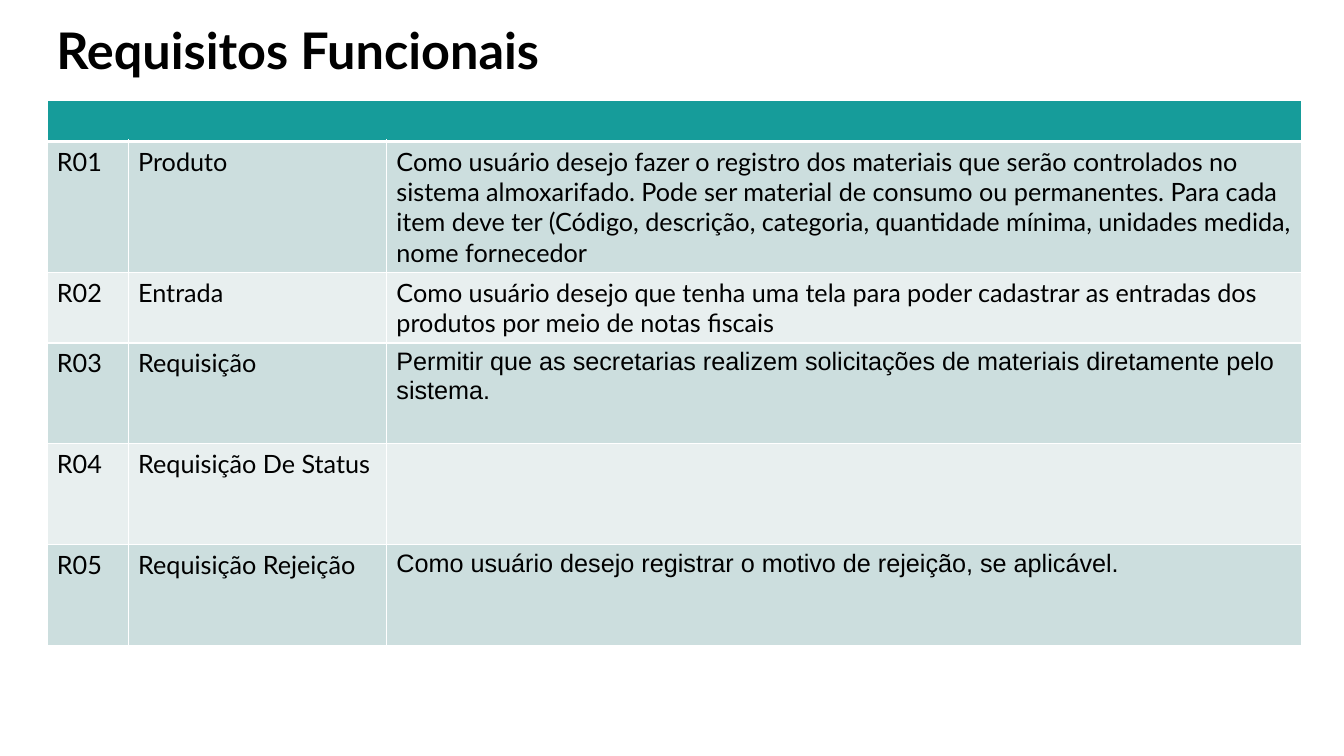
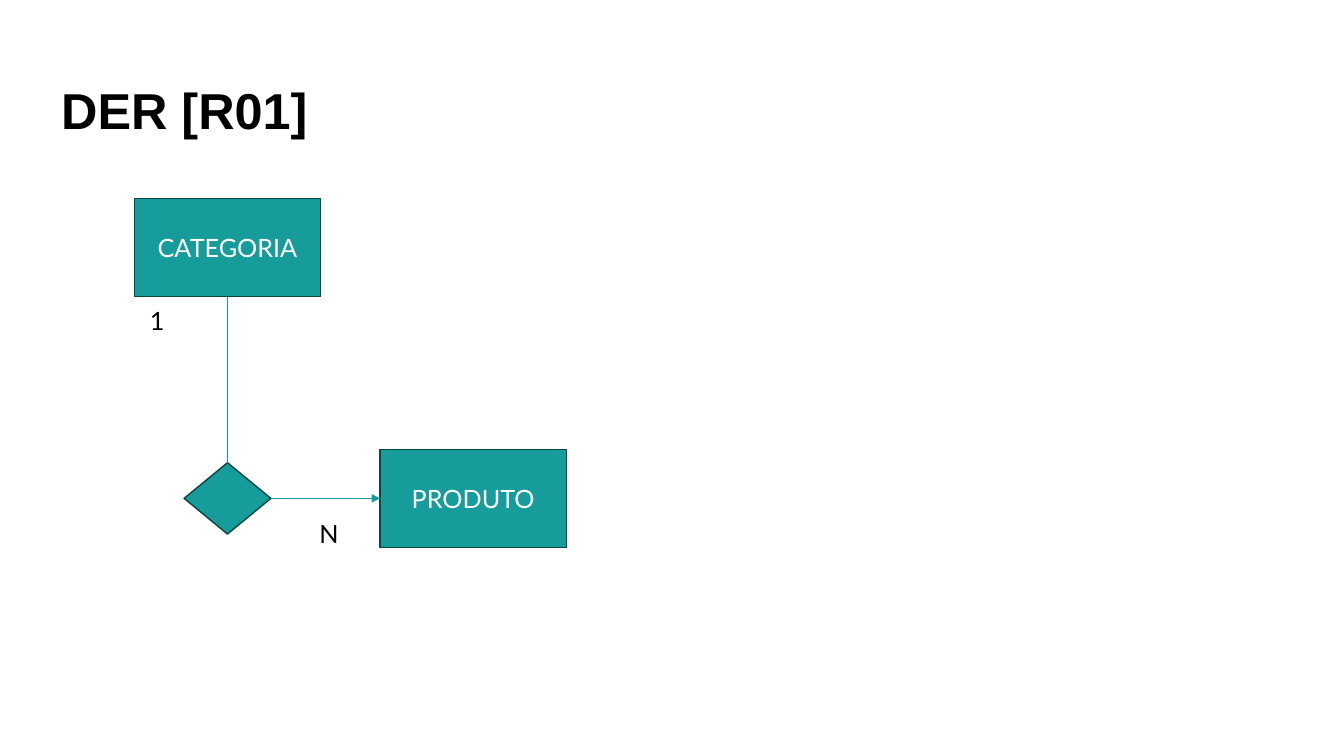
"""Build the requirements table and the entity-relationship slide."""
from dataclasses import dataclass, field
from typing import Any

from lxml import etree
from pptx import Presentation
from pptx import util as u
from pptx.dml.color import RGBColor
from pptx.enum import shapes, text
from pptx.oxml import ns

Pt = u.Pt


@dataclass(frozen=True)
class Theme:
    teal: str = "169C9A"
    outline: str = "0A4443"
    dark_band: str = "CCDEDE"
    light_band: str = "E8EFEF"
    black: str = "000000"
    white: str = "FFFFFF"
    body_font: str = "Lato"
    plain_font: str = "Arial"
    title_size: int = 36
    body_size: int = 18
    line_width: float = 1
    link_width: float = 0.5
    header_rule: float = 3


def apply(target, values):
    for name, value in values.items():
        setattr(target, name, value)


def frame_at(shape, left, top, width, height):
    apply(shape, {"left": Pt(left), "top": Pt(top),
                  "width": Pt(width), "height": Pt(height)})


@dataclass
class Builder:
    deck: Any
    theme: Theme = field(default_factory=Theme)
    page: Any = None

    def start(self, title, frame, font):
        self.page = self.deck.slides.add_slide(self.deck.slide_layouts[5])
        box = self.page.shapes.title
        frame_at(box, *frame)
        apply(box.text_frame, {"vertical_anchor": text.MSO_ANCHOR.BOTTOM,
                               "word_wrap": True,
                               "auto_size": text.MSO_AUTO_SIZE.NONE})
        self.put_text(box.text_frame, title, font=font,
                      size=self.theme.title_size, bold=True, line_spacing=0.9)

    def put_text(self, frame, words, font=None, size=None, color=None, bold=False,
                 align=text.PP_ALIGN.LEFT, line_spacing=1.0):
        para = frame.paragraphs[0]
        apply(para, {"alignment": align, "line_spacing": line_spacing})
        span = para.add_run()
        span.text = words
        apply(span.font, {"name": font or self.theme.body_font,
                          "size": Pt(size or self.theme.body_size), "bold": bold})
        span.font.color.rgb = RGBColor.from_string(color or self.theme.black)

    def paint(self, fill, color):
        fill.solid()
        fill.fore_color.rgb = RGBColor.from_string(color)

    def borders(self, cell, widths):
        properties = cell._tc.get_or_add_tcPr()
        for index, (side, width) in enumerate(widths.items()):
            line = etree.Element(ns.qn(f"a:ln{side}"), w=str(Pt(width)))
            solid = etree.SubElement(line, ns.qn("a:solidFill"))
            etree.SubElement(solid, ns.qn("a:srgbClr"), val=self.theme.white)
            properties.insert(index, line)

    def table(self, left, top, widths, heights, rows):
        """Draw a banded table under an empty merged header row."""
        theme = self.theme
        grid = self.page.shapes.add_table(
            len(heights), len(widths), Pt(left), Pt(top),
            Pt(sum(widths)), Pt(sum(heights))).table
        grid.horz_banding = False
        for column, width in zip(grid.columns, widths):
            column.width = Pt(width)
        for row, height in zip(grid.rows, heights):
            row.height = Pt(height)
        for r, row in enumerate(grid.rows):
            band = theme.dark_band if r % 2 else theme.light_band
            rules = dict.fromkeys("LRTB", theme.line_width)
            if r < 2:
                rules["T" if r else "B"] = theme.header_rule
            for cell in row.cells:
                self.paint(cell.fill, band if r else theme.teal)
                self.borders(cell, rules)
        grid.cell(0, 0).merge(grid.cell(0, len(widths) - 1))
        for r, (*words, font) in enumerate(rows, 1):
            fonts = (theme.body_font, theme.body_font, font)
            for c, (entry, name) in enumerate(zip(words, fonts)):
                if entry:
                    self.put_text(grid.cell(r, c).text_frame, entry, font=name)

    def node(self, kind, left, top, width, height, words=""):
        box = self.page.shapes.add_shape(
            kind, Pt(left), Pt(top), Pt(width), Pt(height))
        box.shadow.inherit = False
        self.paint(box.fill, self.theme.teal)
        self.paint(box.line.fill, self.theme.outline)
        box.line.width = Pt(self.theme.line_width)
        if words:
            box.text_frame.vertical_anchor = text.MSO_ANCHOR.MIDDLE
            self.put_text(box.text_frame, words, color=self.theme.white,
                          align=text.PP_ALIGN.CENTER)
        return box

    def link(self, start, start_site, end, end_site, arrow=False):
        link = self.page.shapes.add_connector(
            shapes.MSO_CONNECTOR.STRAIGHT, 0, 0, 0, 0)
        link.begin_connect(start, start_site)
        link.end_connect(end, end_site)
        self.paint(link.line.fill, self.theme.teal)
        link.line.width = Pt(self.theme.link_width)
        if arrow:
            etree.SubElement(link.line._get_or_add_ln(), ns.qn("a:tailEnd"),
                             type="triangle")
        etree.SubElement(link._element.spPr, ns.qn("a:effectLst"))

    def label(self, words, left, top, width, height):
        box = self.page.shapes.add_textbox(
            Pt(left), Pt(top), Pt(width), Pt(height))
        apply(box.text_frame, {"word_wrap": True,
                               "auto_size": text.MSO_AUTO_SIZE.SHAPE_TO_FIT_TEXT})
        self.put_text(box.text_frame, words)


def requirements(slides):
    lato, arial = slides.theme.body_font, slides.theme.plain_font
    slides.start("Requisitos Funcionais", (33, 4, 431, 57), lato)
    slides.table(33.5, 71.5, (58, 184.5, 653.5), (29.5, 93.6, 50.4, 72, 72, 72), (
        ("R01", "Produto",
         "Como usuário desejo fazer o registro dos materiais que serão controlados "
         "no sistema almoxarifado. Pode ser material de consumo ou permanentes. "
         "Para cada item deve ter (Código, descrição, categoria, quantidade mínima, "
         "unidades medida, nome fornecedor", lato),
        ("R02", "Entrada",
         "Como usuário desejo que tenha uma tela para poder cadastrar as entradas "
         "dos produtos por meio de notas fiscais", lato),
        ("R03", "Requisição",
         "Permitir que as secretarias realizem solicitações de materiais "
         "diretamente pelo sistema.", arial),
        ("R04", "Requisição De Status", "", lato),
        ("R05", "Requisição Rejeição",
         "Como usuário desejo registrar o motivo de rejeição, se aplicável.", arial),
    ))


def diagram(slides):
    top, left, bottom, right = range(4)
    entity = shapes.MSO_SHAPE.RECTANGLE
    slides.start("DER [R01]", (36.5, 4, 828, 100), slides.theme.plain_font)
    product = slides.node(entity, 271.5, 321, 133, 70, "PRODUTO")
    category = slides.node(entity, 96, 142, 133, 70, "CATEGORIA")
    relation = slides.node(shapes.MSO_SHAPE.DIAMOND, 131.5, 330.5, 62, 51)
    slides.link(relation, right, product, left, arrow=True)
    slides.link(relation, top, category, bottom)
    slides.label("1", 100, 214.5, 152, 29)
    slides.label("N", 221, 366.5, 152, 29)


def main():
    deck = Presentation()
    apply(deck, {"slide_width": Pt(960), "slide_height": Pt(540)})
    slides = Builder(deck)
    requirements(slides)
    diagram(slides)
    deck.save("out.pptx")


if __name__ == "__main__":
    main()
